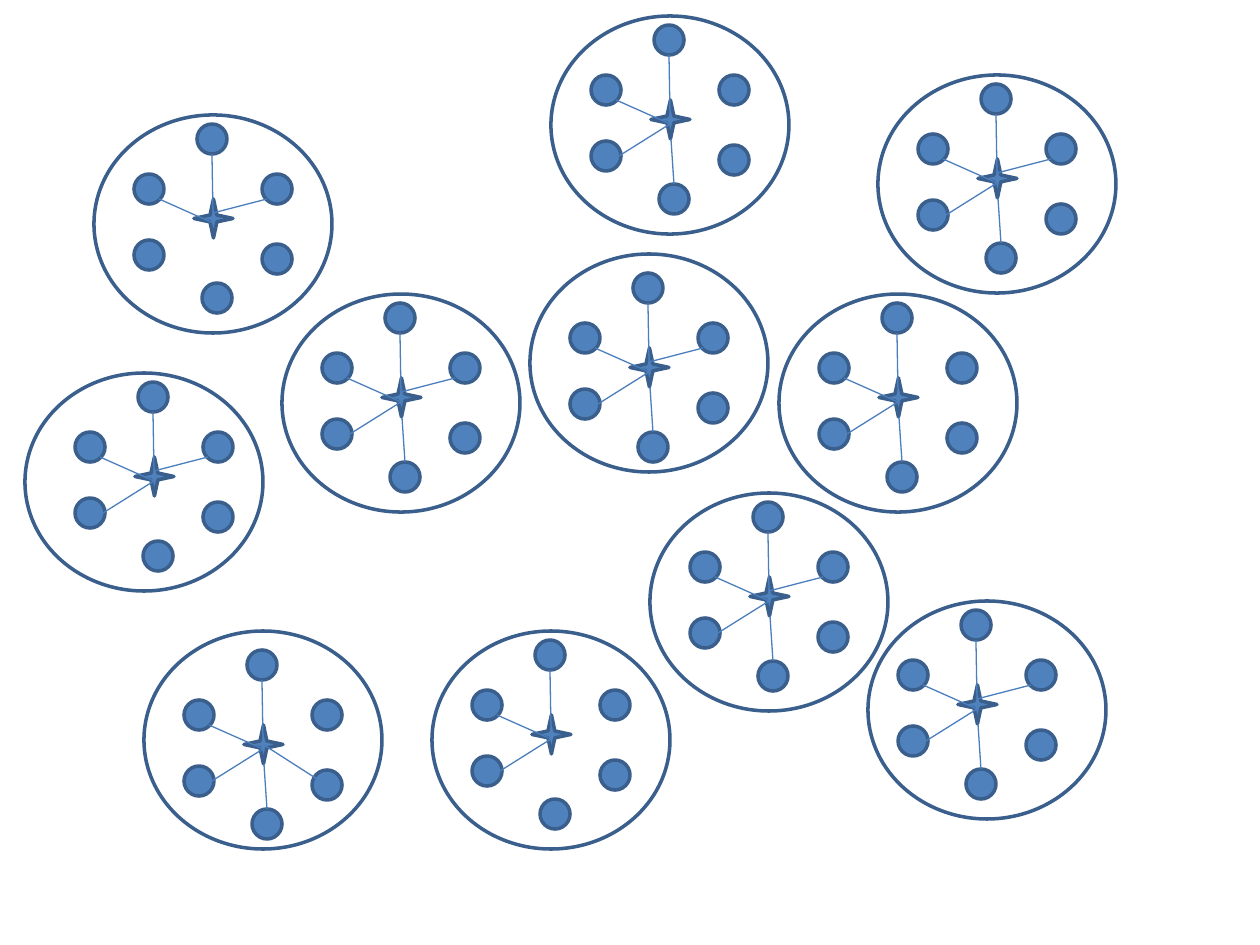
from lxml import etree
from pptx import Presentation
from pptx.dml.color import RGBColor
from pptx.enum.shapes import MSO_CONNECTOR, MSO_SHAPE
from pptx.oxml.ns import qn
from pptx.util import Emu, Pt

STAR = MSO_SHAPE.STAR_4_POINT
CIRCLE = MSO_SHAPE.FLOWCHART_CONNECTOR
STRAIGHT = MSO_CONNECTOR.STRAIGHT

PX_PER_INCH = 126
BLUE, OUTLINE, LINK = "4F81BD", "3A5F8C", "4B7EBC"
RING_W, RING_H = 238, 218
HUB_SIZE, NODE_SIZE = 39, 30
HUB_DX, HUB_DY = 100, 84  # usual place of the hub in its ring

# Node corners and link ends, measured from the hub's top left corner
NODES = {
    "upper left": (-60, -25),
    "top": (3, -75),
    "upper right": (68, -25),
    "lower left": (-60, 41),
    "bottom": (8, 84),
    "lower right": (68, 45),
}
LINKS = {
    "upper left": (-35, 0, 19, 24),
    "top": (19, 14, 18, -45),
    "upper right": (19, 14, 73, 0),
    "lower left": (19, 24, -32, 56),
    "bottom": (20, 39, 23, 84),
    "lower right": (20, 20, 73, 54),
}

# Ring left and top, hub shift, nodes without a link
CLUSTERS = [
    (530, 254, 0, 10, {"lower right"}),
    (25, 373, 10, 0, {"lower right", "bottom"}),
    (282, 294, 0, 0, {"lower right"}),
    (650, 493, 0, 0, {"lower right"}),
    (779, 294, 0, 0, {"lower right", "upper right"}),
    (432, 631, 0, 0, {"lower right", "upper right", "bottom"}),
    (551, 16, 0, 0, {"lower right", "upper right"}),
    (868, 601, -10, 0, {"lower right"}),
    (144, 631, 0, 10, {"upper right"}),
    (94, 115, 0, 0, {"lower right", "lower left", "bottom"}),
    (878, 75, 0, 0, {"lower right"}),
]


def px(n):
    return Emu(round(n * 914400 / PX_PER_INCH))


def color(hex_text):
    return RGBColor.from_string(hex_text)


def add_shape(slide, kind, x, y, w, h, fill=None):
    sp = slide.shapes.add_shape(kind, px(x), px(y), px(w), px(h))
    sp.shadow.inherit = False
    if fill:
        sp.fill.solid()
        sp.fill.fore_color.rgb = color(fill)
    else:
        sp.fill.background()
    sp.line.color.rgb = color(OUTLINE)
    sp.line.width = Pt(2)


def add_link(slide, x1, y1, x2, y2):
    cx = slide.shapes.add_connector(STRAIGHT, px(x1), px(y1), px(x2), px(y2))
    cx.line.color.rgb = color(LINK)
    cx.line.width = Pt(0.75)
    etree.SubElement(cx._element.spPr, qn("a:effectLst"))


def add_cluster(slide, left, top, shift_x, shift_y, unlinked):
    x, y = left + HUB_DX + shift_x, top + HUB_DY + shift_y
    add_shape(slide, STAR, x, y, HUB_SIZE, HUB_SIZE, BLUE)
    for dx, dy in NODES.values():
        add_shape(slide, CIRCLE, x + dx, y + dy, NODE_SIZE, NODE_SIZE, BLUE)
    for node, (x1, y1, x2, y2) in LINKS.items():
        if node not in unlinked:
            add_link(slide, x + x1, y + y1, x + x2, y + y2)


def main():
    prs = Presentation()
    prs.slide_width, prs.slide_height = px(1260), px(945)
    slide = prs.slides.add_slide(prs.slide_layouts[6])

    # Hubs with their nodes and links
    for cluster in CLUSTERS:
        add_cluster(slide, *cluster)

    # Rings in front of all clusters
    for left, top, *_ in CLUSTERS:
        add_shape(slide, CIRCLE, left, top, RING_W, RING_H)

    prs.save("out.pptx")


if __name__ == "__main__":
    main()
